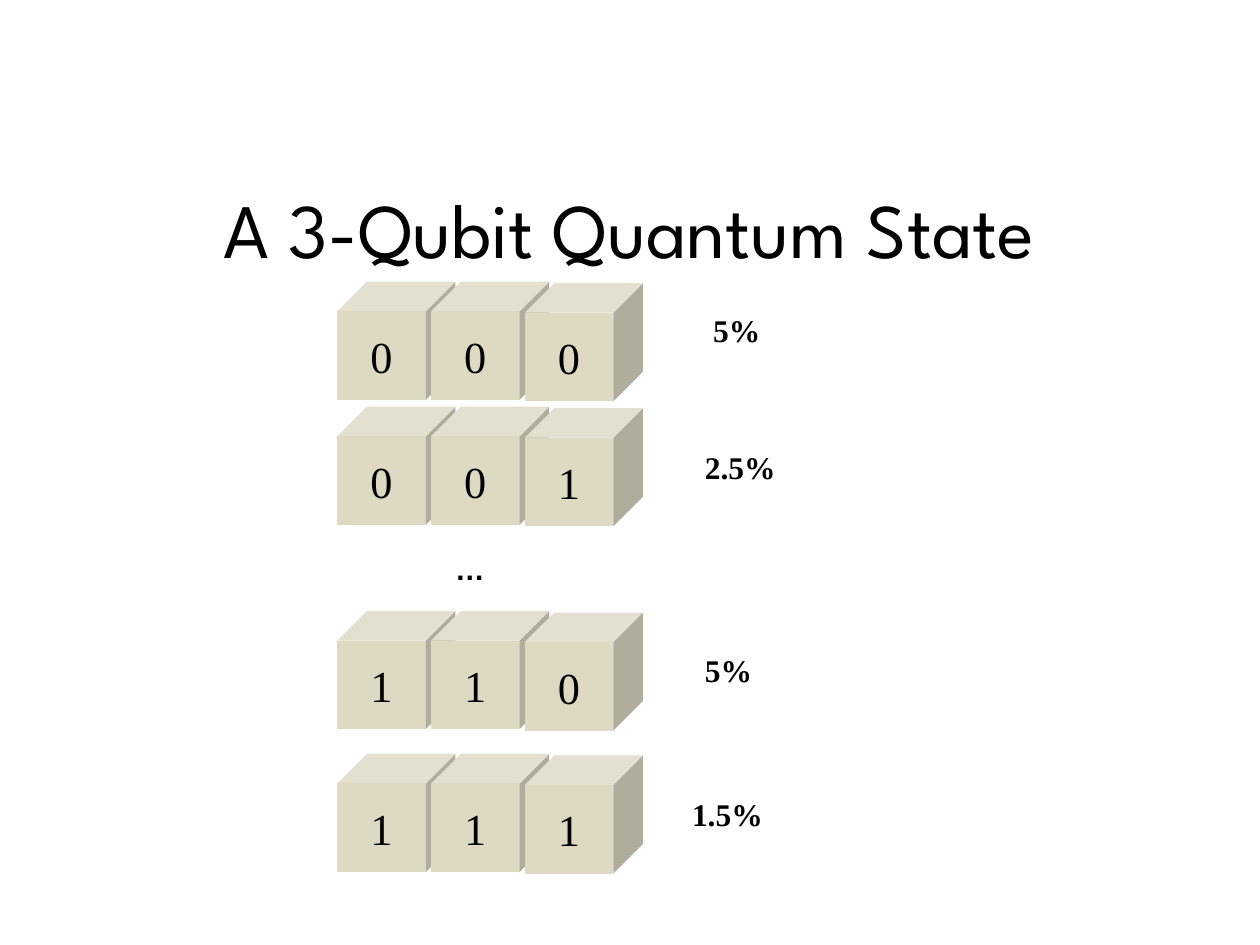
from dataclasses import dataclass

from pptx import Presentation
from pptx import util as u
from pptx.dml.color import RGBColor
from pptx.enum import shapes, text

SERIF = "Times New Roman"
SIDE = 2.38           # cube edge box, cm
LEFT, STEP = 6.8, 1.89
DROP = 0.03           # the last cube of a row sits slightly lower
PAD = 0.1


@dataclass
class Row:
    bits: str
    top: float
    odds: str
    x: float          # label position and width, cm
    y: float
    wide: float


ROWS = [
    Row("000", 5.68, "5%", 14.27, 6.17, 1.17),
    Row("001", 8.2, "2.5%", 14.1, 8.92, 1.65),
    Row("110", 12.32, "5%", 14.1, 13.03, 1.17),
    Row("111", 15.2, "1.5%", 13.84, 15.93, 1.65),
]


def paint(fmt, tone: str) -> None:
    """Give a fill or font a solid colour."""
    if hasattr(fmt, "solid"):
        fmt.solid()
        fmt.fore_color.rgb = RGBColor.from_string(tone)
    else:
        fmt.color.rgb = RGBColor.from_string(tone)


def write(shape, words: str, *, size: float, face: str = SERIF,
          bold: bool = False, wrap: bool = True, pad: float = PAD) -> None:
    """Put centred black text into a shape."""
    frame = shape.text_frame
    frame.word_wrap = wrap
    frame.vertical_anchor = text.MSO_ANCHOR.MIDDLE
    frame.margin_left = frame.margin_right = u.Cm(pad)
    frame.margin_top = frame.margin_bottom = u.Cm(pad)
    para = frame.paragraphs[0]
    para.alignment = text.PP_ALIGN.CENTER
    run = para.add_run()
    run.text = words
    run.font.name = face
    run.font.size = u.Pt(size)
    run.font.bold = bold
    paint(run.font, "000000")


def label(slide, words: str, x: float, y: float, wide: float, high: float,
          **style) -> None:
    box = slide.shapes.add_textbox(u.Cm(x), u.Cm(y), u.Cm(wide), u.Cm(high))
    write(box, words, **style)


def cube(slide, bit: str, x: float, y: float) -> None:
    block = slide.shapes.add_shape(shapes.MSO_SHAPE.CUBE, u.Cm(x), u.Cm(y),
                                   u.Cm(SIDE), u.Cm(SIDE))
    block.shadow.inherit = False
    paint(block.fill, "DDD9C3")
    block.line.fill.background()
    write(block, bit, size=25.3)


def draw(slide, row: Row) -> None:
    """One basis state: its cubes and its probability."""
    for i, bit in enumerate(row.bits):
        last = i == len(row.bits) - 1
        cube(slide, bit, LEFT + i * STEP, row.top + (DROP if last else 0))
    label(slide, row.odds, row.x, row.y, row.wide, 0.97,
          size=18, bold=True, wrap=False)


def main() -> None:
    deck = Presentation()
    deck.slide_width, deck.slide_height = u.Cm(25.4), u.Cm(19.05)
    slide = deck.slides.add_slide(deck.slide_layouts[6])

    # Title
    label(slide, "A 3-Qubit Quantum State", 1.27, 3, 22.86, 3.18,
          size=44, face="League Spartan", pad=0.13)

    # States, with the gap marked between the first and last pairs
    for row in ROWS:
        draw(slide, row)
    label(slide, "…", 9.07, 11, 0.81, 0.91,
          size=16.9, face="Arial", bold=True, wrap=False)

    deck.save("out.pptx")


if __name__ == "__main__":
    main()
